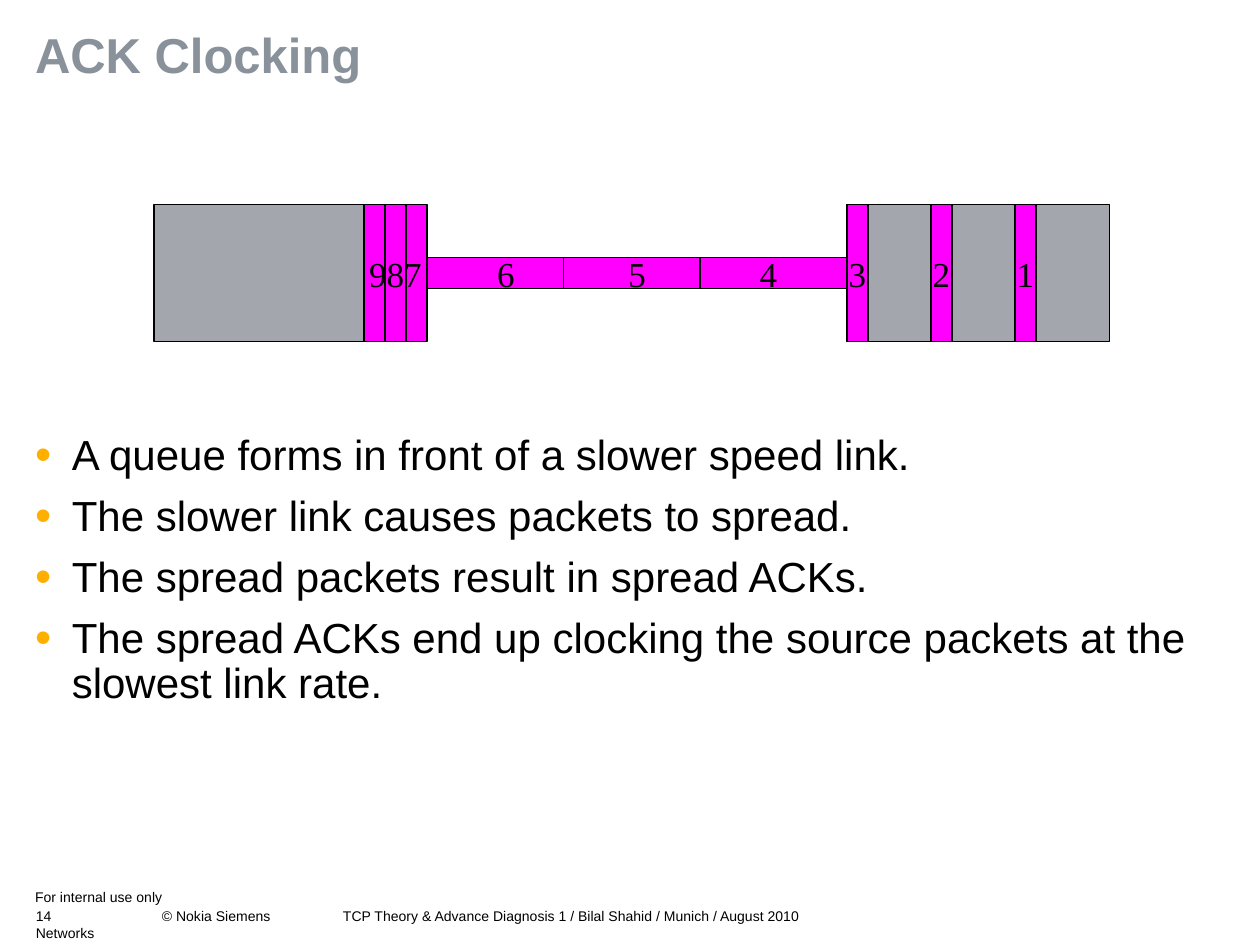
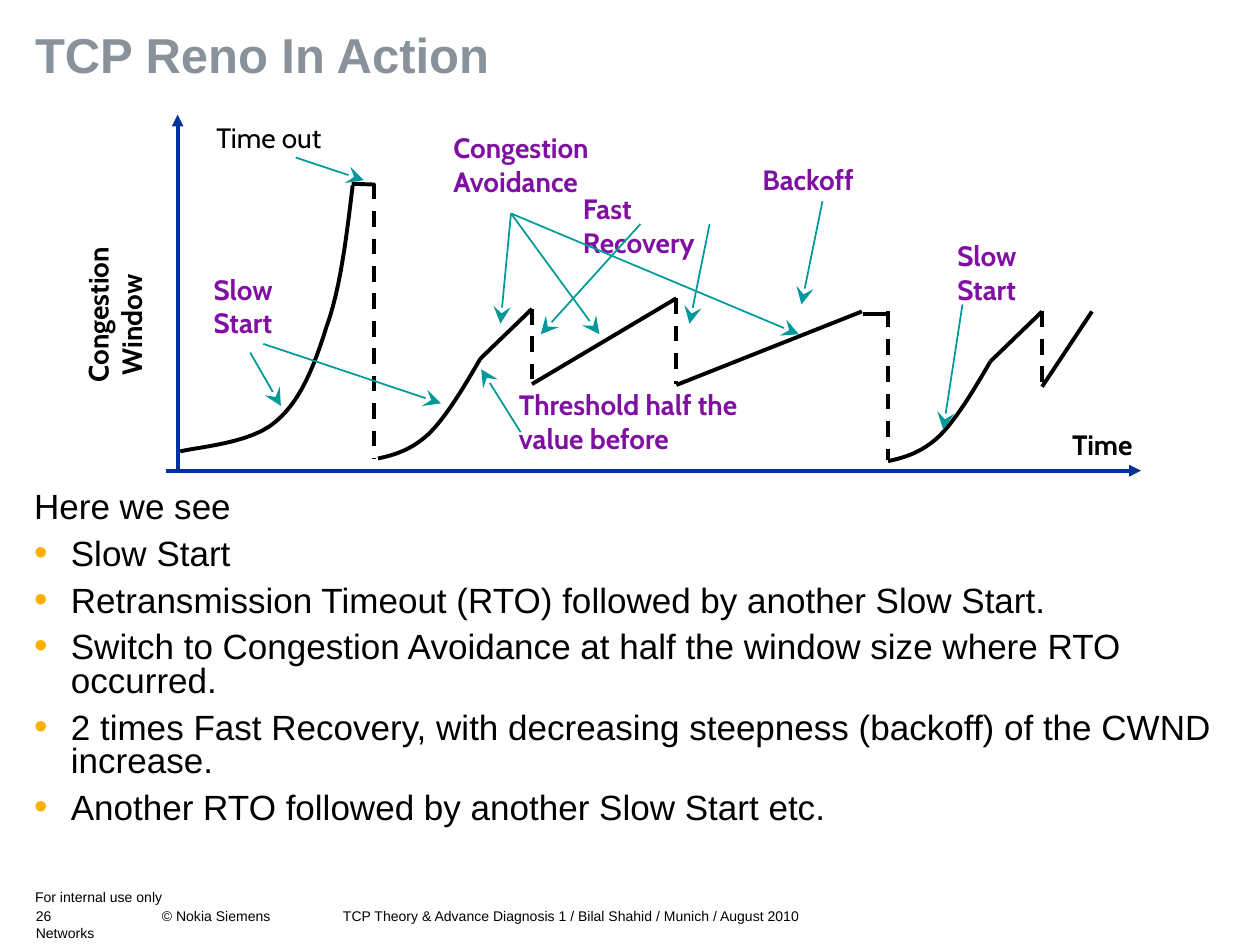
from lxml import etree
from pptx import Presentation
from pptx import util as u
from pptx.dml.color import RGBColor
from pptx.enum import dml, shapes, text
from pptx.oxml import ns

COLOURS = {
    "title": "89929B",
    "text": "000000",
    "bullet": "FFAF00",
    "packet": "FF00FF",
    "idle": "A3A6AD",
    "axis": "003399",
    "arrow": "009999",
    "phase": "7F10A2",
}
BODY_FONT, PACKET_FONT, CHART_FONT = "Arial", "Times New Roman", "Cabin"
FOOTER = "TCP Theory & Advance Diagnosis 1 / Bilal Shahid / Munich / August 2010"
SLOW_START = [(0, 0), (9.5, -2), (19.5, -5), (29.5, -14.5), (39, -24), (49, -40.5), (58.5, -57)]


def rgb(name):
    return RGBColor.from_string(COLOURS[name])


def add_xml(parent, tag, **attrs):
    return etree.SubElement(parent, ns.qn(tag), attrs)


def style(p, size, font=BODY_FONT, colour="text", bold=False):
    p.font.size = u.Pt(size)
    p.font.name = font
    p.font.bold = bold
    p.font.color.rgb = rgb(colour)


def add_tabs(p, stops, align="l"):
    tabs = add_xml(p._p.get_or_add_pPr(), "a:tabLst")
    for stop in stops:
        add_xml(tabs, "a:tab", pos=str(u.Pt(stop)), algn=align)


def add_bullet(p, indent=21):
    pPr = p._p.get_or_add_pPr()
    pPr.set("marL", str(u.Pt(indent)))
    pPr.set("indent", str(-u.Pt(indent)))
    add_xml(add_xml(pPr, "a:buClr"), "a:srgbClr", val=COLOURS["bullet"])
    add_xml(pPr, "a:buSzPct", val="110000")
    add_xml(pPr, "a:buFont", typeface=BODY_FONT)
    add_xml(pPr, "a:buChar", char="•")


def set_insets(tf, x=0, y=0):
    tf.margin_left = tf.margin_right = u.Pt(x)
    tf.margin_top = tf.margin_bottom = u.Pt(y)


def add_box(slide, left, top, width, height, inset=(0, 0)):
    sp = slide.shapes.add_textbox(*map(u.Pt, (left, top, width, height)))
    sp.text_frame.word_wrap = True
    set_insets(sp.text_frame, *inset)
    return sp


def add_line(slide, start, end, colour="text", width=0.75, dashed=False, head=None, head_size="med"):
    sp = slide.shapes.add_connector(shapes.MSO_CONNECTOR.STRAIGHT, *map(u.Pt, (*start, *end)))
    sp.line.color.rgb = rgb(colour)
    sp.line.width = u.Pt(width)
    if dashed:
        sp.line.dash_style = dml.MSO_LINE.DASH
    if head:
        add_xml(sp.line._get_or_add_ln(), "a:tailEnd", type=head, w=head_size, len=head_size)
    add_xml(sp._element.spPr, "a:effectLst")


def add_block(slide, left, top, width, height, colour, label=""):
    sp = slide.shapes.add_shape(shapes.MSO_SHAPE.RECTANGLE, *map(u.Pt, (left, top, width, height)))
    sp.shadow.inherit = False
    sp.fill.solid()
    sp.fill.fore_color.rgb = rgb(colour)
    sp.line.color.rgb = rgb("text")
    sp.line.width = u.Pt(0.75)
    tf = sp.text_frame
    tf.word_wrap = False
    tf.vertical_anchor = text.MSO_ANCHOR.MIDDLE
    set_insets(tf)
    p = tf.paragraphs[0]
    p.text = label
    p.alignment = text.PP_ALIGN.CENTER
    style(p, 20, PACKET_FONT)
    return sp


def bezier(points, steps=12):
    curve = [points[0]]
    for i in range(0, len(points) - 1, 3):
        a, b, c, d = points[i:i + 4]
        for t in (n / steps for n in range(1, steps + 1)):
            s = 1 - t
            curve.append(tuple(
                s**3 * a[k] + 3 * s * s * t * b[k] + 3 * s * t * t * c[k] + t**3 * d[k]
                for k in (0, 1)))
    return curve


def add_curve(slide, points):
    curve = [(u.Pt(x), u.Pt(y)) for x, y in bezier(points)]
    builder = slide.shapes.build_freeform(*curve[0], scale=1.0)
    builder.add_line_segments(curve[1:], close=False)
    sp = builder.convert_to_shape()
    sp.shadow.inherit = False
    sp.fill.background()
    sp.line.color.rgb = rgb("text")
    sp.line.width = u.Pt(2.25)


def add_footer(slide, number, left=20, top=508):
    rows = [
        (0, 0, 240, 11, "For internal use only"),
        (0.5, 10.5, 166, 19, f"{number}\t© Nokia Siemens Networks"),
        (176, 10.5, 300, 10, FOOTER),
    ]
    for x, y, width, height, words in rows:
        p = add_box(slide, left + x, top + y, width, height).text_frame.paragraphs[0]
        p.text = words
        add_tabs(p, [72])
        style(p, 8)


def add_page(prs, title, number):
    slide = prs.slides.add_slide(prs.slide_layouts[5])
    sp = slide.shapes.title
    sp.left, sp.top, sp.width, sp.height = map(u.Pt, (20, 18, 680, 65))
    tf = sp.text_frame
    tf.auto_size = text.MSO_AUTO_SIZE.NONE
    tf.vertical_anchor = text.MSO_ANCHOR.TOP
    set_insets(tf)
    p = tf.paragraphs[0]
    p.text = title
    p.alignment = text.PP_ALIGN.LEFT
    p.line_spacing = 0.9
    style(p, 28, colour="title", bold=True)
    add_footer(slide, number)
    return slide


def add_points(slide, box, points, size, line_spacing, gap, intro=None):
    tf = add_box(slide, *box).text_frame
    lines = ([intro] if intro else []) + points
    for i, words in enumerate(lines):
        p = tf.add_paragraph() if i else tf.paragraphs[0]
        p.text = words
        p.line_spacing = line_spacing
        if i:
            p.space_before = u.Pt(gap)
        if words != intro:
            add_bullet(p)
        style(p, size)


def add_packet_flow(slide, left, top, height=78):
    packet, queue, link, receiver = 12, left + 120, left + 156, left + 396
    link_top, link_height, link_packet = top + 30, 18, 78
    add_block(slide, queue, top, 3 * packet, height, "packet", "987")
    sp = add_block(slide, link, link_top, receiver - link, link_height, "packet")
    sp.text_frame.word_wrap = True
    p = sp.text_frame.paragraphs[0]
    p.clear()
    p._p.remove(p._p.pPr)
    p.text = "\t6\t5\t4"
    p.alignment = text.PP_ALIGN.LEFT
    add_tabs(p, [45 + 75 * i for i in range(3)], "ctr")
    style(p, 20, PACKET_FONT)
    add_block(slide, receiver, top, 150, height, "idle")
    for i in (1, 2):
        x = link + i * link_packet
        add_line(slide, (x, link_top), (x, link_top + link_height))
        x = queue + i * packet
        add_line(slide, (x, top), (x, top + height))
    add_block(slide, left, top, queue - left, height, "idle")
    for i, label in enumerate("321"):
        add_block(slide, receiver + 48 * i, top, packet, height, "packet", label)


def add_label(slide, left, top, width, height, lines, colour="phase", bold=True):
    sp = add_box(slide, left, top, width, height, (7.2, 3.6))
    for i, words in enumerate(lines):
        tf = sp.text_frame
        p = tf.add_paragraph() if i else tf.paragraphs[0]
        p.text = words
        if i:
            p._p.get_or_add_pPr().set("marL", str(u.Pt(4)))
        style(p, 16, CHART_FONT, colour, bold)
    return sp


def add_window_chart(slide, left, top):
    def at(x, y):
        return left + x, top + y

    def add_trace(points, dashed=False):
        for start, end in zip(points, points[1:]):
            add_line(slide, at(*start), at(*end), width=2.25, dashed=dashed)

    for start, end in [((11.5, 208), (11.5, 5.5)), ((5, 209), (562, 209))]:
        add_line(slide, at(*start), at(*end), "axis", 2.25, head="triangle")

    first_rise = [(13, 198), (22.5, 195.5), (53.5, 193.5), (67.5, 181), (81.5, 169.5),
                  (89.5, 149.5), (96.5, 127), (104.5, 105), (108, 75.5), (111.5, 46)]
    add_curve(slide, [at(*point) for point in first_rise])
    for x, y in [(126, 202), (417.5, 203.5)]:
        add_curve(slide, [at(x + dx, y + dy) for dx, dy in SLOW_START])

    for points in [
        [(111, 45), (124.5, 45.5)],
        [(184.5, 145), (214, 116.5)],
        [(214, 159.5), (296.5, 110.5)],
        [(296.5, 160), (402.5, 118)],
        [(403, 119.5), (417.5, 119.5)],
        [(476, 146.5), (505.5, 118)],
        [(505.5, 161), (534, 118)],
    ]:
        add_trace(points)
    for x, high, low in [(123.5, 45, 202), (214, 116.5, 159.5), (296.5, 110.5, 159.5),
                         (417.5, 118, 203), (505.5, 118, 161)]:
        add_trace([(x, high), (x, low)], dashed=True)

    for box, words in [
        ((25, 92, 63, 46), "Slow Start"),
        ((162, 11, 137, 46), "Congestion Avoidance"),
        ((450, 73, 63, 46), "Slow Start"),
        ((338.5, 29.5, 82, 27), "Backoff"),
        ((199.5, 158, 166, 46), "Threshold half the value before"),
        ((236, 46, 106, 46), "Fast Recovery"),
    ]:
        add_label(slide, *at(*box[:2]), *box[2:], [words])
    add_label(slide, *at(26.5, 5.5), 90, 27, ["Time out"], "text", False)
    add_label(slide, *at(515.5, 181), 60, 27, ["Time"], "text")
    axis_title = add_label(slide, *at(-101, 66), 153, 46, ["Congestion", "Window"], "text")
    axis_title.rotation = 270

    for start, *ends in [
        [(79, 30), (118, 43)],
        [(202, 62), (196, 125), (366.5, 131), (252.5, 131)],
        [(460, 114), (449, 185.5)],
        [(380, 55), (368, 114)],
        [(53, 141.5), (70.5, 172)],
        [(207.5, 187), (185, 151)],
        [(60.5, 136.5), (162, 170.5)],
        [(276, 68), (219, 131)],
        [(315.5, 68), (304, 125)],
    ]:
        for end in ends:
            add_line(slide, at(*start), at(*end), "arrow", 1, head="stealth", head_size="lg")


def main():
    prs = Presentation()
    prs.slide_width, prs.slide_height = u.Pt(720), u.Pt(540)

    slide = add_page(prs, "ACK Clocking", 14)
    add_points(slide, (20, 248, 680, 232), [
        "A queue forms in front of a slower speed link.",
        "The slower link causes packets to spread.",
        "The spread packets result in spread ACKs.",
        "The spread ACKs end up clocking the source packets at the slowest link rate.",
    ], 24, 0.9, 9)
    add_packet_flow(slide, 88, 117)

    slide = add_page(prs, "TCP Reno In Action", 26)
    add_points(slide, (19.5, 281.5, 680, 210), [
        "Slow Start",
        "Retransmission Timeout (RTO) followed by another Slow Start.",
        "Switch to Congestion Avoidance at half the window size where RTO occurred.",
        "2 times Fast Recovery, with decreasing steepness (backoff) of the CWND increase.",
        "Another RTO followed by another Slow Start etc.",
    ], 20, 0.8, 7.5, intro="Here we see")
    add_window_chart(slide, 90, 60)

    prs.save("out.pptx")


if __name__ == "__main__":
    main()
